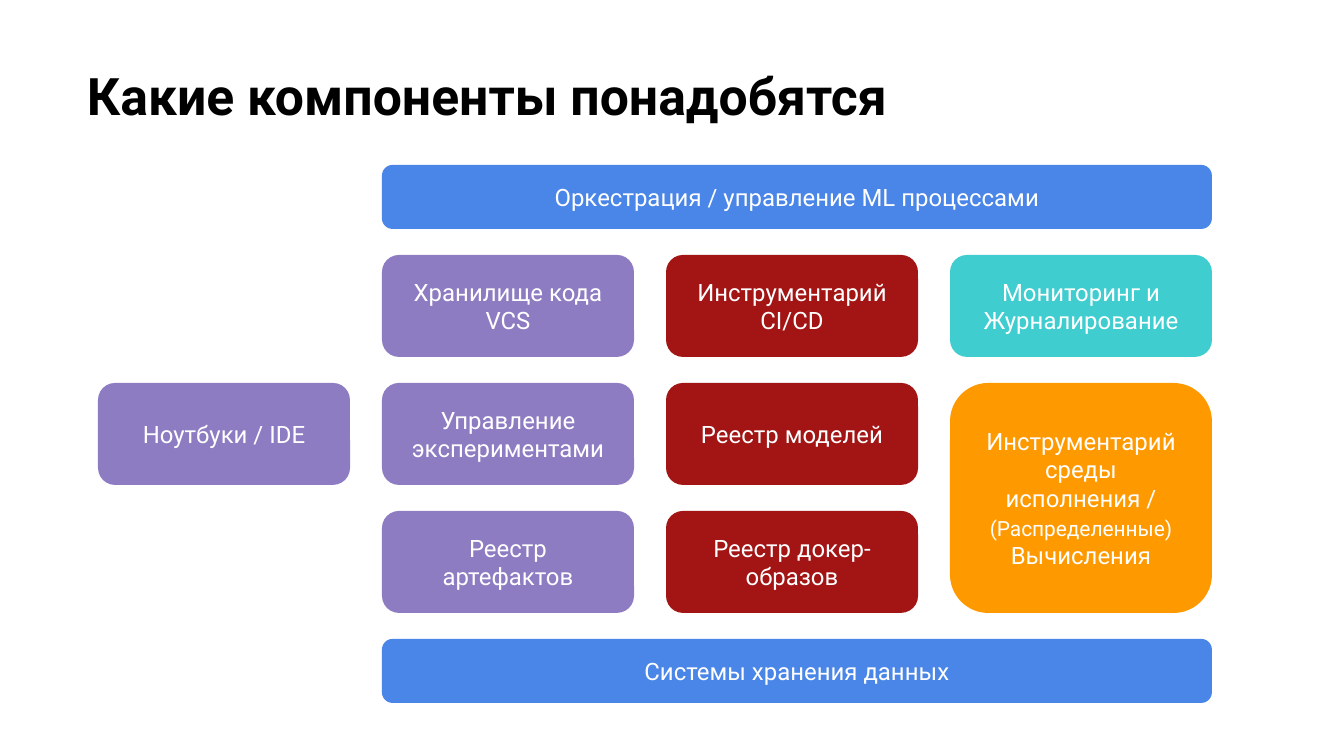
from pptx import Presentation
from pptx.dml.color import RGBColor
from pptx.enum.shapes import MSO_SHAPE
from pptx.enum.text import MSO_ANCHOR, PP_ALIGN
from pptx.util import Pt

ROUND = MSO_SHAPE.ROUNDED_RECTANGLE
MIDDLE = MSO_ANCHOR.MIDDLE
LEFT, CENTER = PP_ALIGN.LEFT, PP_ALIGN.CENTER

BLACK = RGBColor(0x00, 0x00, 0x00)
WHITE = RGBColor(0xFF, 0xFF, 0xFF)
PURPLE = RGBColor(0x8E, 0x7C, 0xC3)
RED = RGBColor(0xA3, 0x15, 0x15)
TEAL = RGBColor(0x40, 0xCD, 0xD0)
ORANGE = RGBColor(0xFF, 0x99, 0x00)
BLUE = RGBColor(0x4A, 0x86, 0xE8)

# Content: a text is a list of paragraphs, each a list of (text, size) runs
SIZE, SMALL = 12.8, 11.2
TITLE = "Какие компоненты понадобятся"
BARS = ["Оркестрация / управление ML процессами", "Системы хранения данных"]
RUNTIME = [
    [("Инструментарий среды исполнения /", SIZE)],
    [("(Распределенные)", SMALL), (" Вычисления", SIZE)],
]
# column, row, rows spanned, colour, text
CARDS = [
    (0, 1, 1, PURPLE, "Ноутбуки / IDE"),
    (1, 0, 1, PURPLE, "Хранилище кода VCS"),
    (1, 1, 1, PURPLE, "Управление экспериментами"),
    (1, 2, 1, PURPLE, "Реестр артефактов"),
    (2, 0, 1, RED, "Инструментарий CI/CD"),
    (2, 1, 1, RED, "Реестр моделей"),
    (2, 2, 1, RED, "Реестр докер-образов"),
    (3, 0, 1, TEAL, "Мониторинг и Журналирование"),
    (3, 1, 2, ORANGE, RUNTIME),
]

# Layout in px
PX = 914400 / 134.4
WIDE, HIGH = 1344, 756
GRID_X, GRID_Y = 98, 255
STEP_X, STEP_Y = 284, 128
CARD_W, LAST_W, CARD_H = 252, 262, 102
BAR_H, GAP = 64, STEP_Y - CARD_H


def px(n):
    return round(n * PX)


def write(shape, text, size=SIZE, color=WHITE, bold=False, align=CENTER, pad=24):
    frame = shape.text_frame
    frame.word_wrap = True
    frame.vertical_anchor = MIDDLE
    frame.margin_left = frame.margin_right = px(pad)
    frame.margin_top = frame.margin_bottom = px(13)
    paras = [[(text, size)]] if isinstance(text, str) else text
    for i, runs in enumerate(paras):
        para = frame.add_paragraph() if i else frame.paragraphs[0]
        para.alignment = align
        for words, points in runs:
            run = para.add_run()
            run.text = words
            font = run.font
            font.name, font.size, font.bold = "Roboto", Pt(points), bold
            font.color.rgb = color


def block(x, y, w, h, fill, text):
    shape = slide.shapes.add_shape(ROUND, px(x), px(y), px(w), px(h))
    shape.shadow.inherit = False
    shape.fill.solid()
    shape.fill.fore_color.rgb = fill
    shape.line.fill.background()
    write(shape, text)


deck = Presentation()
deck.slide_width, deck.slide_height = px(WIDE), px(HIGH)
slide = deck.slides.add_slide(deck.slide_layouts[6])

# Title
title = slide.shapes.add_textbox(px(74), px(48), px(1253), px(93))
write(title, TITLE, size=27.7, color=BLACK, bold=True, align=LEFT, pad=13)

# Component cards
for col, row, span, fill, text in CARDS:
    width = LAST_W if col == 3 else CARD_W
    height = CARD_H + (span - 1) * STEP_Y
    block(GRID_X + col * STEP_X, GRID_Y + row * STEP_Y, width, height, fill, text)

# Bars above and below the cards
bar_x = GRID_X + STEP_X
bar_w = 2 * STEP_X + LAST_W
tops = [GRID_Y - GAP - BAR_H, GRID_Y + 3 * STEP_Y]
for top, text in zip(tops, BARS):
    block(bar_x, top, bar_w, BAR_H, BLUE, text)

deck.save("out.pptx")
